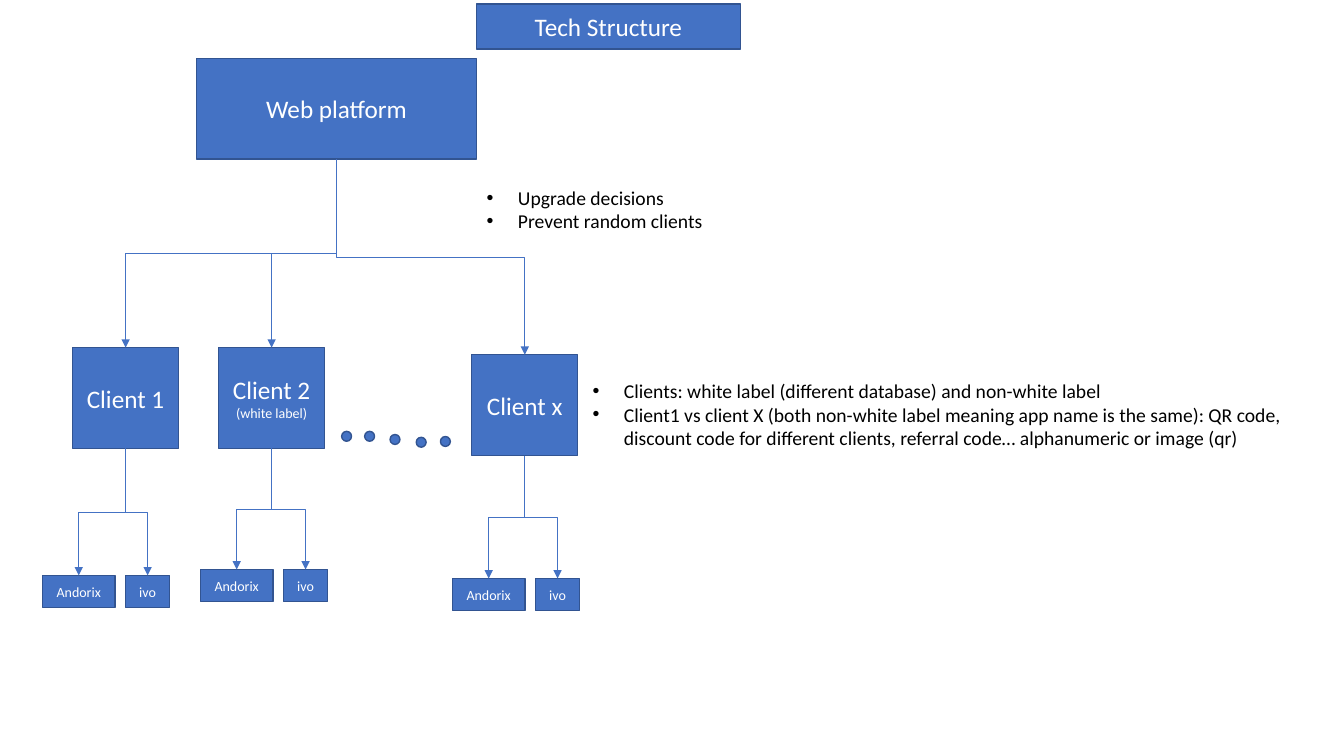
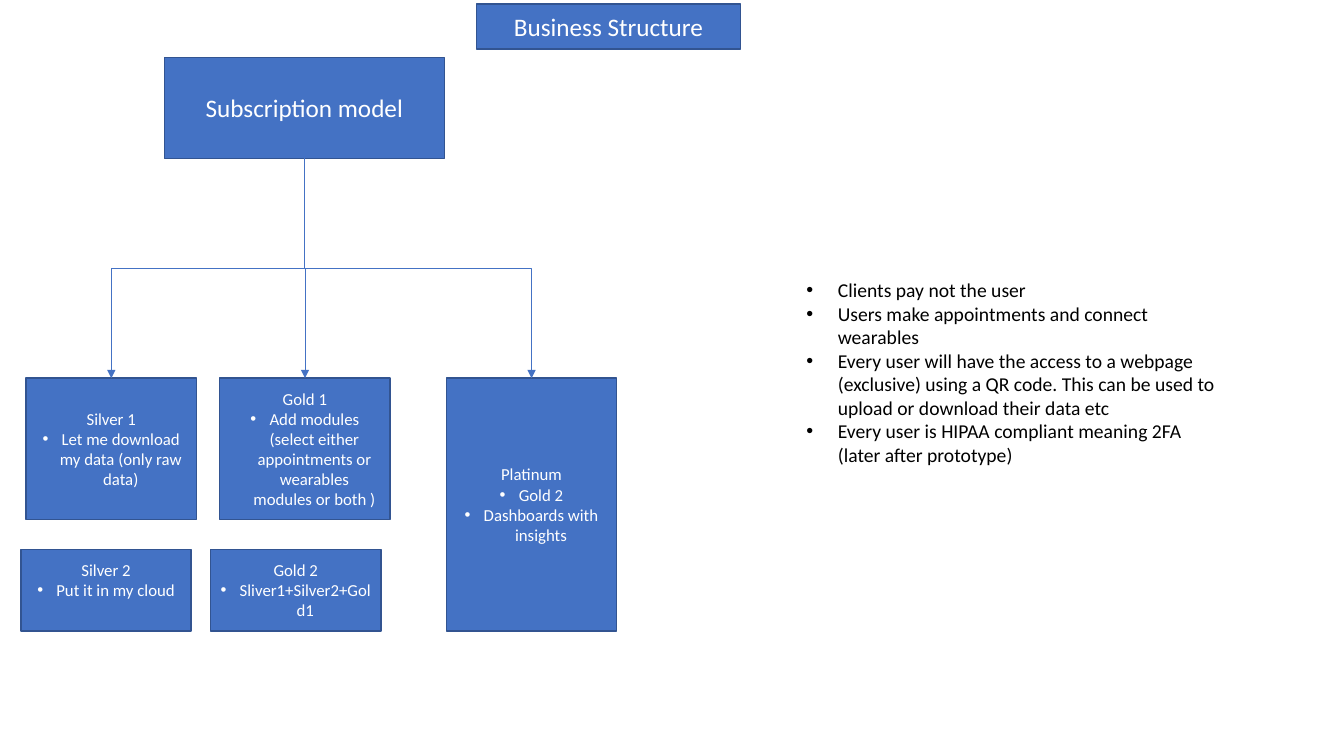
from dataclasses import dataclass

import pptx
import pptx.dml.color
import pptx.enum.shapes
import pptx.enum.text
import pptx.oxml
import pptx.oxml.ns
import pptx.util

Cm = pptx.util.Cm
Pt = pptx.util.Pt
SHAPES = pptx.enum.shapes.MSO_SHAPE
CENTER = pptx.enum.text.PP_ALIGN.CENTER
LEFT = pptx.enum.text.PP_ALIGN.LEFT
MIDDLE = pptx.enum.text.MSO_ANCHOR.MIDDLE
TOP = pptx.enum.text.MSO_ANCHOR.TOP


@dataclass(frozen=True)
class Theme:
    font: str = "Calibri"
    fill: str = "4472C4"
    outline: str = "325491"
    on_fill: str = "FFFFFF"
    ink: str = "000000"
    heading: int = 18
    note: int = 14
    plan: int = 12
    small: int = 10
    outline_width: float = 1
    arrow_width: float = 0.5
    note_indent: float = 0.79
    plan_indent: float = 0.48


THEME = Theme()

# All lengths are centimetres; boxes are left, top, width, height.
SLIDE_SIZE = (33.87, 19.05)
TITLE_BOX = (12.01, 0.1, 6.65, 1.14)
ROOT_SIZE = (7.06, 2.54)

TECH = {
    "title": "Tech Structure",
    "root": ("Web platform", (4.95, 1.47)),
    "notes": [
        ((12.01, 4.55, 6.38, 1.45),
         ["Upgrade decisions", "Prevent random clients"]),
        ((14.68, 9.42, 19, 2.06),
         ["Clients: white label (different database) and non-white label",
          "Client1 vs client X (both non-white label meaning app name is the same): "
          "QR code, discount code for different clients, referral code… "
          "alphanumeric or image (qr)"]),
    ],
}
CLIENT_SIZE = (2.67, 2.54)
# Name, detail, client position, position of its first app
CLIENTS = [
    ("Client 1", None, (1.83, 8.76), (1.07, 14.5)),
    ("Client 2", "(white label)", (5.51, 8.76), (5.05, 14.35)),
    ("Client x", None, (11.89, 8.94), (11.4, 14.58)),
]
APPS = [("Andorix", 1.83), ("ivo", 1.12)]
APP_HEIGHT = 0.81
APP_GAP = 0.26
DOT_SIZE = 0.25
DOTS = [(8.61, 10.87), (9.19, 10.87), (9.83, 10.95), (10.49, 11.02), (11.1, 11)]

BUSINESS = {
    "title": "Business Structure",
    "root": ("Subscription model", (4.14, 1.45)),
    "notes": [
        ((20.07, 6.88, 10.82, 5.05),
         ["Clients pay not the user",
          "Users make appointments and connect wearables",
          "Every user will have the access to a webpage (exclusive) using a QR code. "
          "This can be used to upload or download their data etc",
          "Every user is HIPAA compliant meaning 2FA (later after prototype)"]),
    ],
}
PLAN_WIDTH = 4.29
PLAN_TOP, PLAN_HEIGHT = 9.53, 3.56
UPGRADE_TOP, UPGRADE_HEIGHT = 13.84, 2.06
TALL_HEIGHT = UPGRADE_TOP + UPGRADE_HEIGHT - PLAN_TOP
# Name, features, left, top, height, bottom margin, linked to the root
PLANS = [
    ("Silver 1", ["Let me download my data (only raw data)"],
     0.66, PLAN_TOP, PLAN_HEIGHT, 0.13, True),
    ("Silver 2", ["Put it in my cloud"],
     0.53, UPGRADE_TOP, UPGRADE_HEIGHT, 0.64, False),
    ("Gold 1", ["Add modules (select either appointments or wearables modules or both )"],
     5.54, PLAN_TOP, PLAN_HEIGHT, 0.13, True),
    ("Gold 2", ["Sliver1+Silver2+Gold1"],
     5.31, UPGRADE_TOP, UPGRADE_HEIGHT, 0.13, False),
    ("Platinum", ["Gold 2", "Dashboards with insights"],
     11.25, PLAN_TOP, TALL_HEIGHT, 0.13, True),
]


def color(value):
    return pptx.dml.color.RGBColor.from_string(value)


def add_xml(parent, tag, **attributes):
    element = pptx.oxml.parse_xml(f"<{tag} {pptx.oxml.ns.nsdecls('a')}/>")
    for name, value in attributes.items():
        element.set(name, value)
    parent.append(element)


def place(shape, box):
    shape.left, shape.top, shape.width, shape.height = map(Cm, box)


def paint(shape):
    shape.shadow.inherit = False
    shape.fill.solid()
    shape.fill.fore_color.rgb = color(THEME.fill)
    shape.line.color.rgb = color(THEME.outline)
    shape.line.width = Pt(THEME.outline_width)


def write(shape, lines, ink, alignment=CENTER, anchor=MIDDLE):
    """Fill a shape with lines given as (text, size, bullet indent or None)."""
    frame = shape.text_frame
    frame.text = "\n".join(text for text, size, indent in lines)
    frame.word_wrap = True
    frame.auto_size = pptx.enum.text.MSO_AUTO_SIZE.NONE
    frame.vertical_anchor = anchor
    for paragraph, (text, size, indent) in zip(frame.paragraphs, lines):
        paragraph.alignment = alignment
        paragraph.line_spacing = 1.0
        paragraph.space_before = paragraph.space_after = Pt(0)
        if indent:
            properties = paragraph._p.get_or_add_pPr()
            properties.set("marL", str(Cm(indent)))
            properties.set("indent", str(-Cm(indent)))
            add_xml(properties, "a:buFont", typeface="Arial")
            add_xml(properties, "a:buChar", char="•")
        for run in paragraph.runs:
            run.font.name = THEME.font
            run.font.size = Pt(size)
            run.font.color.rgb = color(ink)


def add_box(slide, box, lines=(), kind=SHAPES.RECTANGLE):
    shape = slide.shapes.add_shape(kind, *map(Cm, box))
    paint(shape)
    if lines:
        write(shape, lines, THEME.on_fill)
    return shape


def link(slide, parent, child):
    """Join bottom centre to top centre with an elbow that starts downwards."""
    start_x = parent.left + parent.width // 2
    start_y = parent.top + parent.height
    end_x = child.left + child.width // 2
    drop, shift = child.top - start_y, end_x - start_x
    connector = slide.shapes.add_connector(
        pptx.enum.shapes.MSO_CONNECTOR.ELBOW, 0, 0, 0, 0)
    connector.begin_connect(parent, 2)
    connector.end_connect(child, 0)
    # The elbow preset runs sideways, so it is turned about its centre.
    connector.width, connector.height = drop, abs(shift)
    connector.left = (start_x + end_x - drop) // 2
    connector.top = (start_y + child.top - abs(shift)) // 2
    transform = connector._element.spPr.find(pptx.oxml.ns.qn("a:xfrm"))
    transform.set("rot", "16200000" if shift > 0 else "5400000")
    transform.set("flipH", "1" if shift > 0 else "0")
    transform.set("flipV", "0")
    connector.line.color.rgb = color(THEME.fill)
    connector.line.width = Pt(THEME.arrow_width)
    add_xml(connector.line._get_or_add_ln(), "a:tailEnd", type="triangle")
    add_xml(connector._element.spPr, "a:effectLst")


def start_slide(presentation, content):
    """Add a slide with its title, notes and root box; return slide and root."""
    layout = {1: 1, 2: 3}[len(content["notes"])]
    slide = presentation.slides.add_slide(presentation.slide_layouts[layout])
    title = slide.shapes.title
    place(title, TITLE_BOX)
    paint(title)
    write(title, [(content["title"], THEME.heading, None)], THEME.on_fill)
    bodies = [shape for shape in slide.placeholders
              if shape.placeholder_format.idx > 0]
    for body, (box, notes) in zip(bodies, content["notes"]):
        place(body, box)
        lines = [(note, THEME.note, THEME.note_indent) for note in notes]
        write(body, lines, THEME.ink, LEFT, TOP)
    name, position = content["root"]
    root = add_box(slide, position + ROOT_SIZE, [(name, THEME.heading, None)])
    return slide, root


def build_tech(presentation):
    slide, platform = start_slide(presentation, TECH)
    for name, detail, position, (app_left, app_top) in CLIENTS:
        lines = [(name, THEME.heading, None)]
        if detail:
            lines.append((detail, THEME.small, None))
        client = add_box(slide, position + CLIENT_SIZE, lines)
        link(slide, platform, client)
        for app_name, width in APPS:
            app = add_box(slide, (app_left, app_top, width, APP_HEIGHT),
                          [(app_name, THEME.small, None)])
            link(slide, client, app)
            app_left += width + APP_GAP
    for position in DOTS:
        add_box(slide, position + (DOT_SIZE, DOT_SIZE), kind=SHAPES.OVAL)


def build_business(presentation):
    slide, model = start_slide(presentation, BUSINESS)
    for name, features, left, top, height, margin, linked in PLANS:
        lines = [(name, THEME.plan, None)]
        lines += [(feature, THEME.plan, THEME.plan_indent) for feature in features]
        plan = add_box(slide, (left, top, PLAN_WIDTH, height), lines)
        plan.text_frame.margin_bottom = Cm(margin)
        if linked:
            link(slide, model, plan)


def main():
    presentation = pptx.Presentation()
    presentation.slide_width, presentation.slide_height = map(Cm, SLIDE_SIZE)
    build_tech(presentation)
    build_business(presentation)
    presentation.save("out.pptx")


if __name__ == "__main__":
    main()
